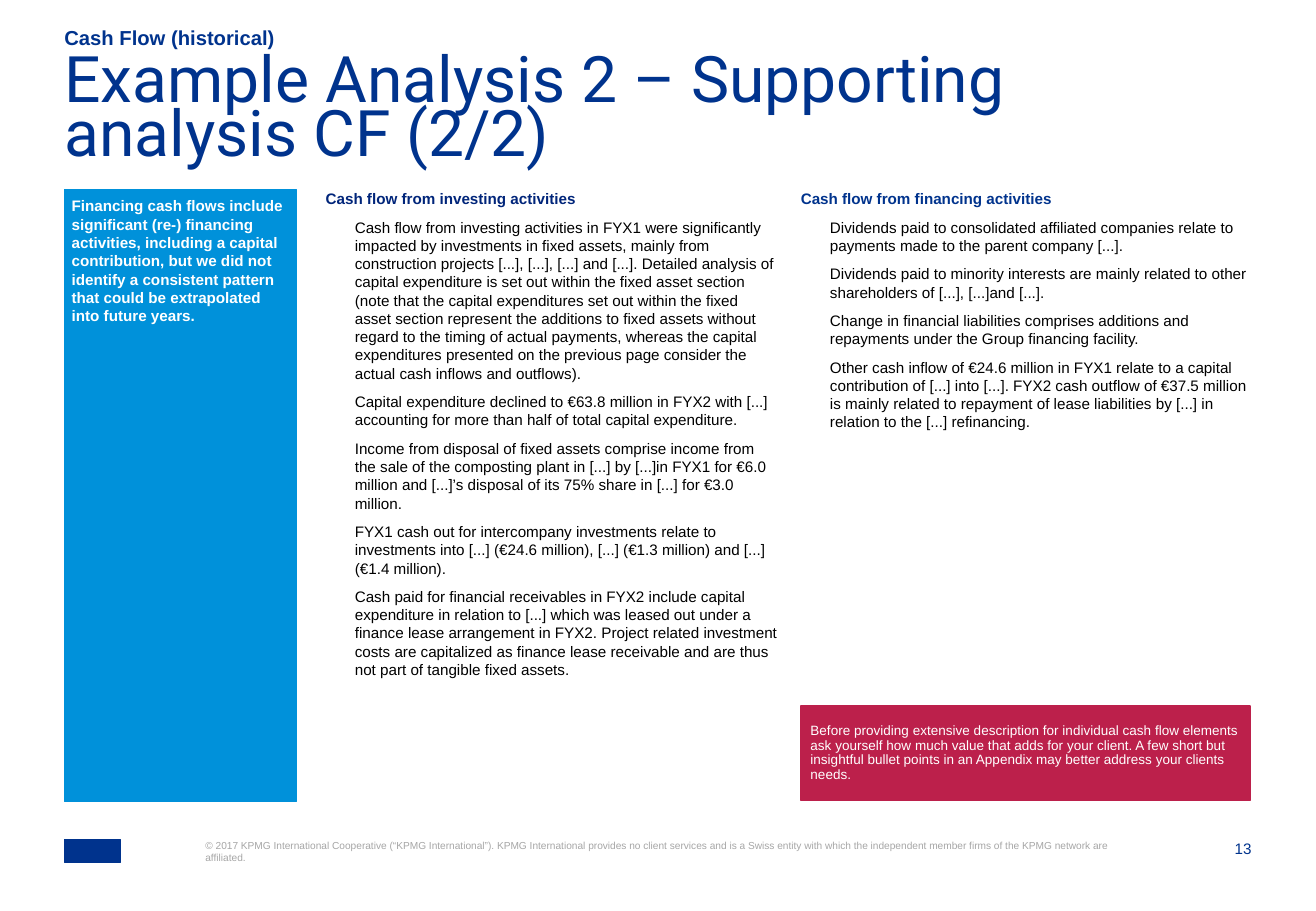
import pptx
import pptx.util
import pptx.dml.color
import pptx.enum.shapes
import pptx.enum.text
import pptx.oxml

COLORS = {"blue": "00338D", "navy": "00257A", "sky": "0091DA", "red": "BC204B",
          "black": "000000", "white": "FFFFFF", "grey": "A6A6A6"}
ANCHOR = pptx.enum.text.MSO_ANCHOR
MARGIN, COL_W, COL_STEP = 0.53, 3.72, 3.91
INDENT = 0.24
COLS = {
    "side": (MARGIN, 1.91),
    "title": (MARGIN, 9.75),
    "logo": (MARGIN, 0.46),
    "investing": (2.68, COL_W),
    "financing": (2.68 + COL_STEP, COL_W),
    "callout": (2.68 + COL_STEP, 3.7),
    "copyright": (1.69, 7.49),
    "page": (9.87, 0.43),
}
ROWS = {
    "kicker": (0.22, 0.19),
    "title": (0.49, 0.79),
    "body": (1.56, 5.04),
    "callout": (5.81, 0.78),
    "logo": (6.91, 0.19),
    "footer": (6.91, 0.41),
}


def place(sp, col, row, fill=None, line_width=0.75):
    (x, w), (y, h) = COLS[col], ROWS[row]
    sp.left, sp.top, sp.width, sp.height = map(pptx.util.Inches, (x, y, w, h))
    if fill:
        sp.fill.solid()
        sp.fill.fore_color.rgb = pptx.dml.color.RGBColor.from_string(COLORS[fill])
        sp.line.color.rgb = pptx.dml.color.RGBColor.from_string(COLORS[fill])
        sp.line.width = pptx.util.Pt(line_width)
    return sp


def write(sp, lines, size, color, bold=False, font="Arial", inset=0, anchor=ANCHOR.TOP,
          after=0, spacing=1.0, body_color=None):
    tf = sp.text_frame
    tf.text = "\n".join(lines)
    tf.word_wrap = True
    tf.auto_size = pptx.enum.text.MSO_AUTO_SIZE.NONE
    tf.vertical_anchor = anchor
    tf.margin_left = tf.margin_right = pptx.util.Inches(inset)
    tf.margin_top = tf.margin_bottom = pptx.util.Inches(inset)
    for i, p in enumerate(tf.paragraphs):
        is_item = i > 0
        pPr = p._p.get_or_add_pPr()
        pPr.set("marL", str(pptx.util.Inches(INDENT if is_item else 0)))
        pPr.set("indent", "0")
        pPr.append(pptx.oxml.parse_xml(
            '<a:buNone xmlns:a="http://schemas.openxmlformats.org/drawingml/2006/main"/>'))
        p.alignment = pptx.enum.text.PP_ALIGN.LEFT
        p.space_before = pptx.util.Pt(0)
        p.space_after = pptx.util.Pt(after)
        p.line_spacing = spacing
        for r in p.runs:
            r.font.name = font
            r.font.size = pptx.util.Pt(size)
            r.font.bold = bold and not is_item
            r.font.color.rgb = pptx.dml.color.RGBColor.from_string(
                COLORS[body_color if is_item else color])


prs = pptx.Presentation()
prs.slide_width = pptx.util.Inches(10.83)
prs.slide_height = pptx.util.Inches(7.5)
s = prs.slides.add_slide(prs.slide_layouts.get_by_name("Comparison"))
title, side, investing, kicker, financing = s.placeholders

write(place(kicker, "title", "kicker"), ["Cash Flow (historical)"], 12, "blue",
      bold=True, anchor=ANCHOR.BOTTOM)
write(place(title, "title", "title"), ["Example Analysis 2 – Supporting analysis CF (2/2)"],
      38, "blue", font="Roboto", spacing=0.7)
write(place(side, "side", "body", "sky"), [
    "Financing cash flows include significant (re-) financing activities, including a capital "
    "contribution, but we did not identify a consistent pattern that could be extrapolated "
    "into future years."], 9, "white", bold=True, inset=0.06)

write(place(investing, "investing", "body"), [
    "Cash flow from investing activities",
    "Cash flow from investing activities in FYX1 were significantly impacted by investments in "
    "fixed assets, mainly from construction projects [...], [...], [...] and [...]. Detailed "
    "analysis of capital expenditure is set out within the fixed asset section (note that the "
    "capital expenditures set out within the fixed asset section represent the additions to "
    "fixed assets without regard to the timing of actual payments, whereas the capital "
    "expenditures presented on the previous page consider the actual cash inflows and outflows).",
    "Capital expenditure declined to €63.8 million in FYX2 with [...] accounting for more than "
    "half of total capital expenditure.",
    "Income from disposal of fixed assets comprise income from the sale of the composting plant "
    "in [...] by [...]in FYX1 for €6.0 million and [...]’s disposal of its 75% share in [...] "
    "for €3.0 million.",
    "FYX1 cash out for intercompany investments relate to investments into [...] "
    "(€24.6 million), [...] (€1.3 million) and [...] (€1.4 million).",
    "Cash paid for financial receivables in FYX2 include capital expenditure in relation to "
    "[...] which was leased out under a finance lease arrangement in FYX2. Project related "
    "investment costs are capitalized as finance lease receivable and are thus not part of "
    "tangible fixed assets."], 9, "navy", bold=True, after=6, body_color="black")

write(place(financing, "financing", "body"), [
    "Cash flow from financing activities",
    "Dividends paid to consolidated affiliated companies relate to payments made to the parent "
    "company [...].",
    "Dividends paid to minority interests are mainly related to other shareholders of [...], "
    "[...]and [...].",
    "Change in financial liabilities comprises additions and repayments under the Group "
    "financing facility.",
    "Other cash inflow of €24.6 million in FYX1 relate to a capital contribution of [...] into "
    "[...]. FYX2 cash outflow of €37.5 million is mainly related to repayment of lease "
    "liabilities by [...] in relation to the [...] refinancing."],
    9, "blue", bold=True, after=6, body_color="black")

RECT = pptx.enum.shapes.MSO_SHAPE.RECTANGLE
callout = place(s.shapes.add_shape(RECT, 0, 0, 0, 0), "callout", "callout", "red", 1)
callout.shadow.inherit = False
write(callout, [
    "Before providing extensive description for individual cash flow elements ask yourself how "
    "much value that adds for your client. A few short but insightful bullet points in an "
    "Appendix may better address your clients needs."],
    8, "white", inset=0.08, anchor=ANCHOR.MIDDLE, spacing=0.9)

logo = place(s.shapes.add_shape(RECT, 0, 0, 0, 0), "logo", "logo", "blue")
logo.shadow.inherit = False

copyright_line = place(s.shapes.add_textbox(0, 0, 0, 0), "copyright", "footer")
write(copyright_line, [
    "© 2017 KPMG International Cooperative (“KPMG International”). KPMG International provides "
    "no client services and is a Swiss entity with which the independent member firms of the "
    "KPMG network are affiliated."], 6, "grey")
page = place(s.shapes.add_textbox(0, 0, 0, 0), "page", "logo")
write(page, ["13"], 9, "blue")
page.text_frame.paragraphs[0].alignment = pptx.enum.text.PP_ALIGN.RIGHT

prs.save("out.pptx")
